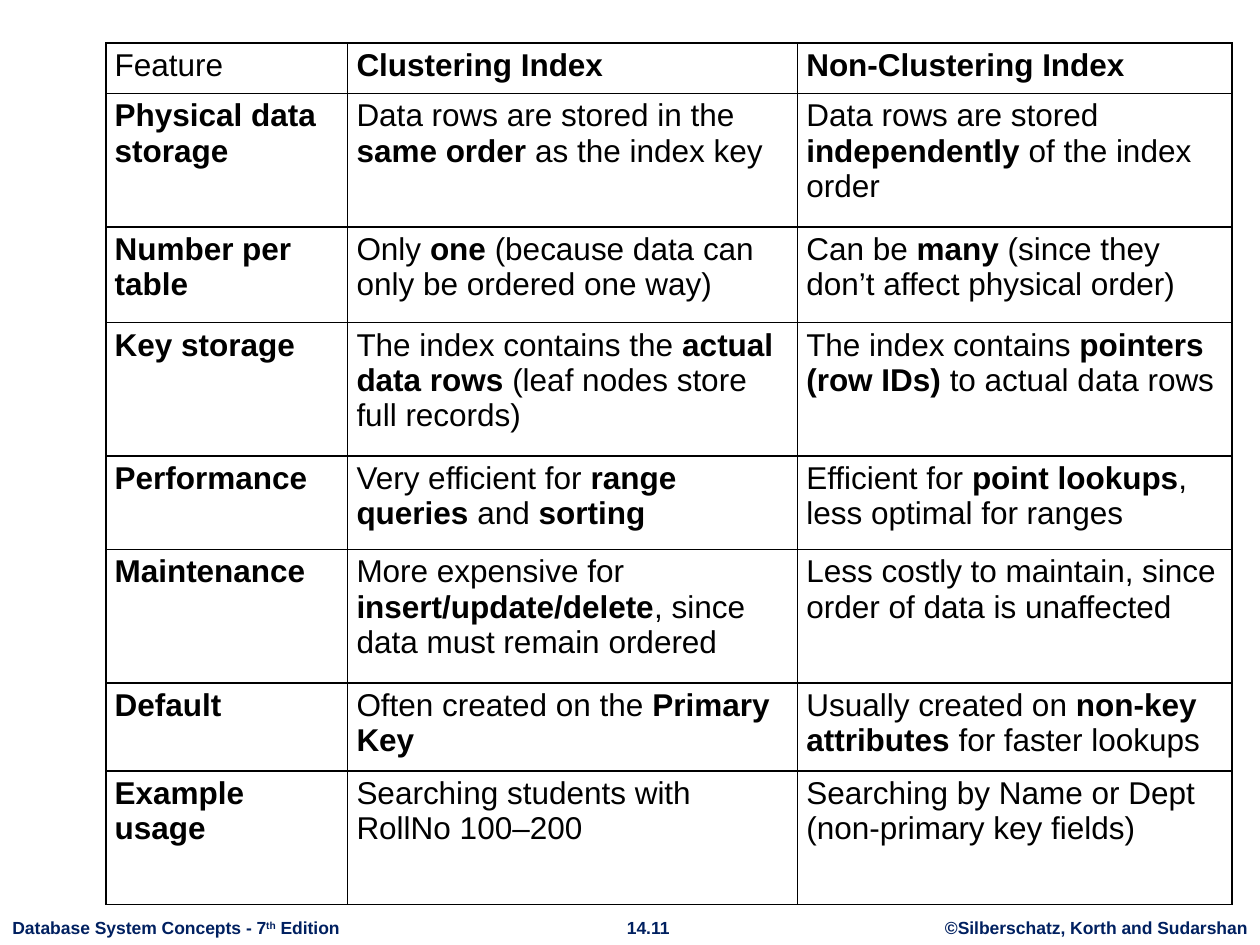
from dataclasses import dataclass

from lxml import etree
from pptx import Presentation
from pptx.dml.color import RGBColor
from pptx.enum.text import MSO_ANCHOR, MSO_AUTO_SIZE, PP_ALIGN
from pptx.oxml.ns import qn
from pptx.util import Inches, Pt

LEFT = PP_ALIGN.LEFT
CENTER = PP_ALIGN.CENTER
TOP = MSO_ANCHOR.TOP
GROW = MSO_AUTO_SIZE.SHAPE_TO_FIT_TEXT
BLANK_LAYOUT = 6

COLUMN_WIDTHS = [1.92, 3.57, 3.45]
ROW_HEIGHTS = [0.4, 1.06, 0.76, 1.06, 0.74, 1.06, 0.7, 1.06]

# Text between double asterisks is bold.
COMPARISON = [
    ("Feature", "**Clustering Index**", "**Non-Clustering Index**"),
    ("**Physical data storage**",
     "Data rows are stored in the **same order** as the index key",
     "Data rows are stored **independently** of the index order"),
    ("**Number per table**",
     "Only **one** (because data can only be ordered one way)",
     "Can be **many** (since they don’t affect physical order)"),
    ("**Key storage**",
     "The index contains the **actual data rows** (leaf nodes store full records)",
     "The index contains **pointers (row IDs)** to actual data rows"),
    ("**Performance**",
     "Very efficient for **range queries** and **sorting**",
     "Efficient for **point lookups**, less optimal for ranges"),
    ("**Maintenance**",
     "More expensive for **insert/update/delete**, since data must remain ordered",
     "Less costly to maintain, since order of data is unaffected"),
    ("**Default**",
     "Often created on the **Primary Key**",
     "Usually created on **non-key attributes** for faster lookups"),
    ("**Example usage**",
     "Searching students with RollNo 100–200",
     "Searching by Name or Dept (non-primary key fields)"),
]


@dataclass(frozen=True)
class Theme:
    font: str = "Arial"
    text: str = "000000"
    footer: str = "002060"
    border: str = "000000"
    border_width: float = 1
    table_size: float = 18
    footer_size: float = 10


class SlideBuilder:
    def __init__(self, slide, theme):
        self.slide = slide
        self.theme = theme

    def add_run(self, paragraph, text, size, color, bold):
        run = paragraph.add_run()
        run.text = text
        run.font.name = self.theme.font
        run.font.size = Pt(size)
        run.font.bold = bold
        run.font.color.rgb = RGBColor.from_string(color)
        return run

    def add_footer(self, left, width, parts, alignment=CENTER):
        box = self.slide.shapes.add_textbox(
            Inches(left), Inches(7.23), Inches(width), Inches(0.27))
        box.text_frame.word_wrap = False
        box.text_frame.auto_size = GROW
        paragraph = box.text_frame.paragraphs[0]
        paragraph.alignment = alignment
        for index, part in enumerate(parts):
            run = self.add_run(
                paragraph, part, self.theme.footer_size, self.theme.footer, True)
            if index % 2:
                run.font._element.set("baseline", "30000")

    def add_borders(self, cell):
        properties = cell._tc.get_or_add_tcPr()
        for side in ("a:lnL", "a:lnR", "a:lnT", "a:lnB"):
            line = etree.SubElement(
                properties, qn(side), w=str(Pt(self.theme.border_width)))
            fill = etree.SubElement(line, qn("a:solidFill"))
            etree.SubElement(fill, qn("a:srgbClr"), val=self.theme.border)

    def fill_cell(self, cell, text):
        cell.margin_left = cell.margin_right = Inches(0.07)
        cell.margin_top = cell.margin_bottom = Inches(0.04)
        cell.vertical_anchor = TOP
        self.add_borders(cell)
        cell.fill.background()
        paragraph = cell.text_frame.paragraphs[0]
        for index, part in enumerate(text.split("**")):
            if part:
                self.add_run(paragraph, part, self.theme.table_size,
                             self.theme.text, index % 2 == 1)

    def add_table(self, left, top, column_widths, row_heights, rows):
        table = self.slide.shapes.add_table(
            len(row_heights), len(column_widths), Inches(left), Inches(top),
            Inches(sum(column_widths)), Inches(sum(row_heights))).table
        table.first_row = False
        table.horz_banding = False
        for column, width in zip(table.columns, column_widths):
            column.width = Inches(width)
        for row, height, texts in zip(table.rows, row_heights, rows):
            row.height = Inches(height)
            for cell, text in zip(row.cells, texts):
                self.fill_cell(cell, text)


def main():
    presentation = Presentation()
    presentation.slide_width = Inches(10)
    presentation.slide_height = Inches(7.5)
    slide = presentation.slides.add_slide(presentation.slide_layouts[BLANK_LAYOUT])
    builder = SlideBuilder(slide, Theme())
    builder.add_footer(7.4, 2.6, ["©Silberschatz, Korth and Sudarshan"])
    builder.add_footer(4.86, 0.57, ["14.11"])
    builder.add_footer(
        0, 2.81, ["Database System Concepts - 7", "th", " Edition"], LEFT)
    builder.add_table(0.84, 0.34, COLUMN_WIDTHS, ROW_HEIGHTS, COMPARISON)
    presentation.save("out.pptx")


if __name__ == "__main__":
    main()
